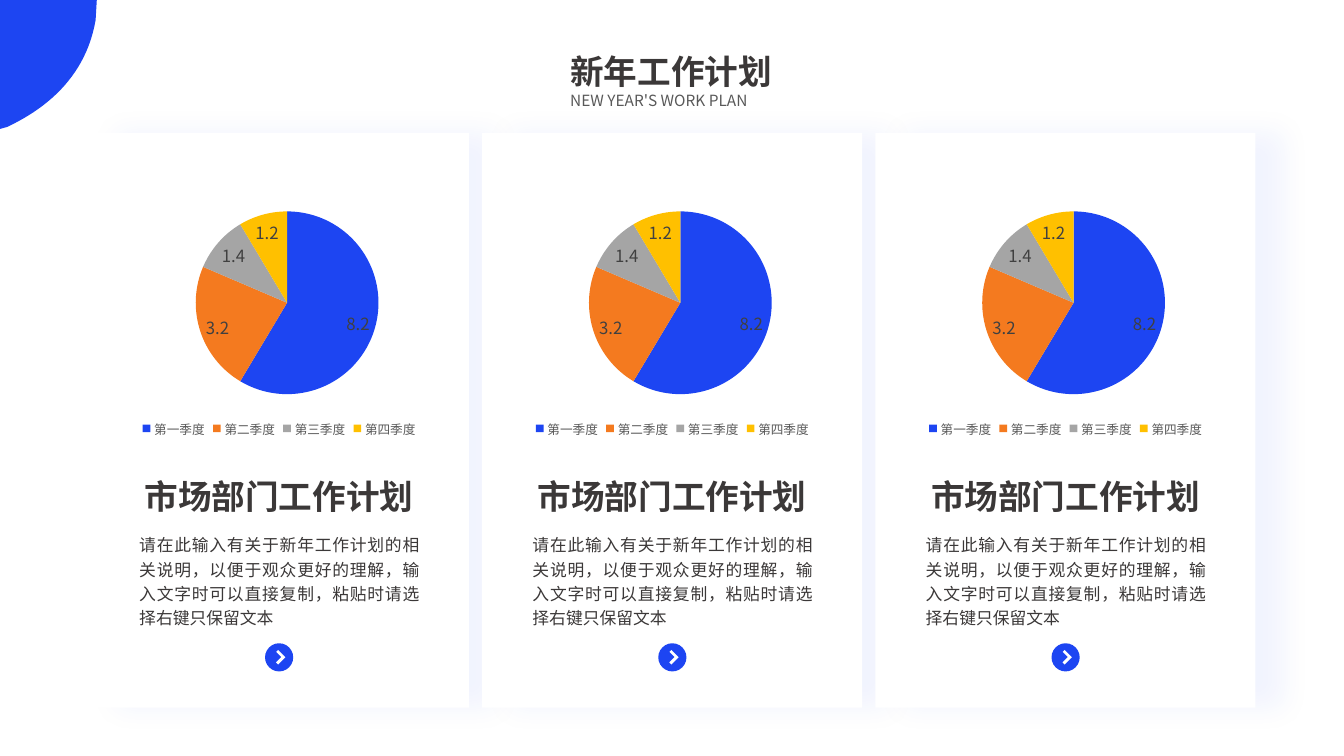
from lxml.etree import SubElement
from pptx import Presentation
from pptx.chart.data import CategoryChartData
from pptx.dml.color import RGBColor
from pptx.enum.chart import XL_CHART_TYPE, XL_LABEL_POSITION, XL_LEGEND_POSITION
from pptx.enum.shapes import MSO_SHAPE
from pptx.enum.text import MSO_ANCHOR, MSO_AUTO_SIZE, PP_ALIGN
from pptx.oxml.ns import qn
from pptx.util import Cm, Pt

FONT = "Noto Sans CJK SC"
BLUE, WHITE, DARK, GREY = "1D45F2", "FFFFFF", "3B3838", "595959"
SLICE_COLOURS = [BLUE, "F47A1F", "A5A5A5", "FFC000"]
QUARTERS = ["第一季度", "第二季度", "第三季度", "第四季度"]
VALUES = [8.2, 3.2, 1.4, 1.2]
CARD_LEFT, CARD_PITCH = 2.24, 9.91
CARDS = [
    (
        "市场部门工作计划",
        "请在此输入有关于新年工作计划的相关说明，以便于观众更好的理解，"
        "输入文字时可以直接复制，粘贴时请选择右键只保留文本",
    )
] * 3


def colour(value):
    """Turn a hex string into a colour."""
    return RGBColor.from_string(value)


def set_font(font, size, hex_colour, bold=False):
    """Format Latin and East Asian text alike."""
    font.name = FONT
    font.size = Pt(size)
    font.bold = bold
    font.color.rgb = colour(hex_colour)
    properties = font._rPr
    latin = properties.find(qn("a:latin"))
    east_asian = SubElement(properties, qn("a:ea"), typeface=FONT)
    latin.addnext(east_asian)


def paint(shape, hex_colour):
    """Give a shape a plain fill without line or shadow."""
    shape.fill.solid()
    shape.fill.fore_color.rgb = colour(hex_colour)
    shape.line.fill.background()
    shape.shadow.inherit = False


def write(shape, text, size, hex_colour, alignment, spacing=1.0, bold=False):
    """Put one formatted paragraph into a shape."""
    frame = shape.text_frame
    frame.text = text
    frame.word_wrap = True
    frame.auto_size = MSO_AUTO_SIZE.NONE
    frame.vertical_anchor = MSO_ANCHOR.TOP
    paragraph = frame.paragraphs[0]
    paragraph.alignment = alignment
    paragraph.line_spacing = spacing
    for run in paragraph.runs:
        set_font(run.font, size, hex_colour, bold)


def add_text(slide, left, top, width, height, *text_format):
    """Add a text box with one paragraph."""
    box = slide.shapes.add_textbox(Cm(left), Cm(top), Cm(width), Cm(height))
    write(box, *text_format)


def add_corner(slide):
    """Add the curved blue corner at the top left."""
    curve = [(2.41, 0.51), (2.18, 1.85), (1.27, 2.69), (0.18, 3.2)]
    steps = 24
    points = [(2.44, 0)]
    for step in range(steps + 1):
        t = step / steps
        weights = [(1 - t) ** 3, 3 * t * (1 - t) ** 2, 3 * t**2 * (1 - t), t**3]
        points.append(
            tuple(sum(w * p[axis] for w, p in zip(weights, curve)) for axis in (0, 1))
        )
    points.append((0, 3.25))
    builder = slide.shapes.build_freeform(0, 0)
    builder.add_line_segments([(Cm(x), Cm(y)) for x, y in points], close=True)
    paint(builder.convert_to_shape(), BLUE)


def add_panel(slide, left):
    """Add the white card with its soft blue shadow."""
    panel = slide.shapes.add_shape(
        MSO_SHAPE.RECTANGLE, Cm(left), Cm(3.35), Cm(9.58), Cm(14.48)
    )
    paint(panel, WHITE)
    effects = panel._element.spPr.find(qn("a:effectLst"))
    shadow = SubElement(
        effects, qn("a:outerShdw"), blurRad=str(Pt(20)), dist=str(Pt(20)),
        dir="0", algn="l", rotWithShape="0",
    )
    shade = SubElement(shadow, qn("a:srgbClr"), val=BLUE)
    SubElement(shade, qn("a:alpha"), val="5000")


def add_pie(slide, left):
    """Add the pie chart of the four quarters."""
    data = CategoryChartData()
    data.categories = QUARTERS
    data.add_series("Series 1", VALUES)
    chart = slide.shapes.add_chart(
        XL_CHART_TYPE.PIE, Cm(left), Cm(4.24), Cm(10.31), Cm(6.88), data
    ).chart
    set_font(chart.font, 10, "000000")
    chart.has_title = False
    chart.has_legend = True
    chart.legend.position = XL_LEGEND_POSITION.BOTTOM
    chart.legend.include_in_layout = False
    set_font(chart.legend.font, 9, GREY)
    plot = chart.plots[0]
    plot.vary_by_categories = True
    plot.has_data_labels = True
    labels = plot.data_labels
    labels.show_value = True
    labels.show_percentage = False
    labels.position = XL_LABEL_POSITION.BEST_FIT
    set_font(labels.font, 12, "404040")
    for index, slice_colour in enumerate(SLICE_COLOURS):
        fill = plot.series[0].points[index].format.fill
        fill.solid()
        fill.fore_color.rgb = colour(slice_colour)


def add_button(slide, left):
    """Add the round button with a chevron."""
    group = slide.shapes.add_group_shape()
    circle = group.shapes.add_shape(
        MSO_SHAPE.OVAL, Cm(left), Cm(16.21), Cm(0.71), Cm(0.71)
    )
    paint(circle, BLUE)
    chevron = group.shapes.add_shape(
        MSO_SHAPE.CORNER, Cm(left + 0.2), Cm(16.43), Cm(0.26), Cm(0.26)
    )
    chevron.adjustments[0] = 0.27
    chevron.adjustments[1] = 0.29
    chevron.rotation = 225
    paint(chevron, WHITE)


def add_card(slide, left, heading, description):
    """Add one department card."""
    add_panel(slide, left)
    add_pie(slide, left - 0.36)
    add_text(slide, left + 0.41, 11.99, 8.76, 1.17,
             heading, 24, DARK, PP_ALIGN.CENTER, 0.9, True)
    add_text(slide, left + 1.02, 13.26, 7.57, 2.67,
             description, 12, DARK, PP_ALIGN.JUSTIFY, 1.2)
    add_button(slide, left + 4.44)


def add_heading(slide):
    """Fill the title and add its English subtitle."""
    title = slide.shapes.title
    title.left, title.top = Cm(14.12), Cm(1.27)
    title.width, title.height = Cm(5.64), Cm(1.17)
    write(title, "新年工作计划", 24, DARK, PP_ALIGN.JUSTIFY, 0.9, True)
    add_text(slide, 14.12, 2.18, 5.64, 0.74,
             "NEW YEAR'S WORK PLAN", 11, GREY, PP_ALIGN.JUSTIFY)


def main():
    """Build and save the work plan slide."""
    presentation = Presentation()
    presentation.slide_width, presentation.slide_height = Cm(33.87), Cm(19.05)
    slide = presentation.slides.add_slide(presentation.slide_layouts[5])
    add_corner(slide)
    for index, (heading, description) in enumerate(CARDS):
        add_card(slide, CARD_LEFT + index * CARD_PITCH, heading, description)
    add_heading(slide)
    presentation.save("out.pptx")


if __name__ == "__main__":
    main()
